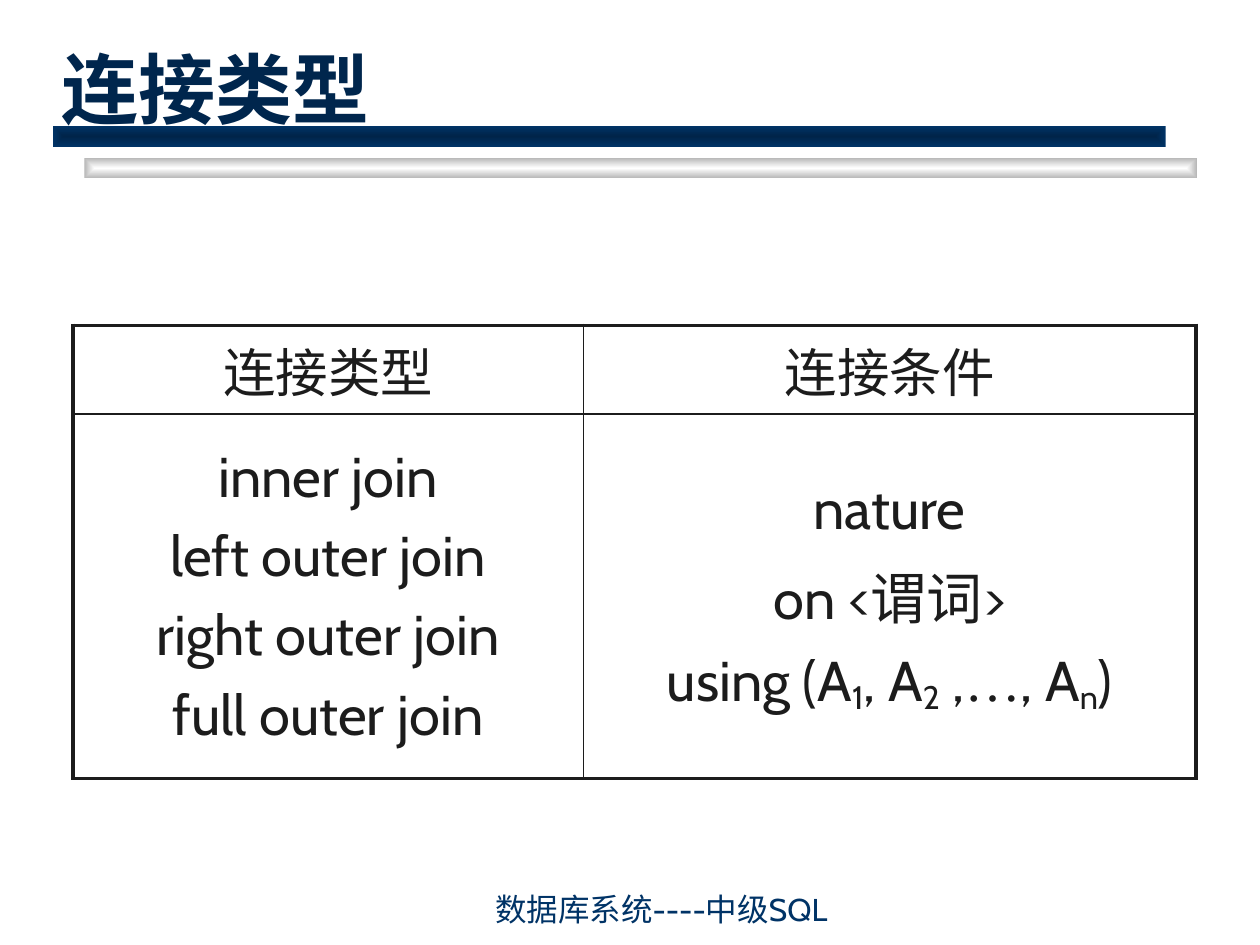
from lxml import etree
from pptx import Presentation
from pptx import util as u
from pptx.dml.color import RGBColor
from pptx.enum import shapes, text
from pptx.oxml import ns

NAVY = RGBColor(0x00, 0x33, 0x66)
DEEP = RGBColor(0x00, 0x24, 0x49)
HEAD = RGBColor(0x00, 0x26, 0x4D)
INK = RGBColor(0x1C, 0x1C, 0x1C)
WHITE = RGBColor(0xFF, 0xFF, 0xFF)
GREY = RGBColor(0xB6, 0xB6, 0xB6)


def write(par, words, size=32, color=INK, bold=False, face="Cabin", sub=False):
    run = par.add_run()
    run.text = words
    font = run.font
    font.name, font.size, font.bold = face, u.Pt(size), bold
    font.color.rgb = color
    if sub:
        run._r.get_or_add_rPr().set("baseline", "-14000")


def add(parent, tag, **attrs):
    return etree.SubElement(parent, ns.qn(tag), attrs)


deck = Presentation()
deck.slide_width, deck.slide_height = u.Cm(25.4), u.Cm(19.05)
slide = deck.slides.add_slide(deck.slide_layouts[5])

# Title
title = slide.shapes.title
title.left, title.top = u.Cm(0.99), u.Cm(0.46)
title.width, title.height = u.Cm(23.57), u.Cm(2.36)
frame = title.text_frame
frame.auto_size = text.MSO_AUTO_SIZE.NONE
frame.vertical_anchor = text.MSO_ANCHOR.BOTTOM
frame.paragraphs[0].alignment = text.PP_ALIGN.LEFT
write(frame.paragraphs[0], "连接类型", size=44, color=HEAD, bold=True)

# Two bars under the title, shaded from the centre outwards
for left, top, inner, outer in ((1.7, 3.18, WHITE, GREY),
                                (1.07, 2.54, DEEP, NAVY)):
    bar = slide.shapes.add_shape(shapes.MSO_SHAPE.RECTANGLE, u.Cm(left),
                                 u.Cm(top), u.Cm(22.43), u.Cm(0.42))
    bar.shadow.inherit = False
    bar.line.fill.background()
    bar.fill.gradient()
    for stop, color in zip(bar.fill.gradient_stops, (inner, outer)):
        stop.color.rgb = color
    grad = bar._element.spPr.find(ns.qn("a:gradFill"))
    grad.remove(grad.find(ns.qn("a:lin")))
    way = add(grad, "a:path", path="shape")
    add(way, "a:fillToRect", l="50000", t="50000", r="50000", b="50000")
    # Keep the bars behind the title
    slide.shapes._spTree.insert(2, bar._element)

# Table: each cell holds lines, each line holds (words, format) runs
low = {"sub": True}
rows = [
    [[[("连接类型", {"size": 30})]], [[("连接条件", {"size": 30})]]],
    [
        [[(kind + " join", {})]
         for kind in ("inner", "left outer", "right outer", "full outer")],
        [
            [("nature", {})],
            [("on <谓词>", {})],
            [("using (A", {}), ("1", low), (", A", {}), ("2", low), (" ,", {}),
             ("…", {"face": "Times New Roman"}), (", A", {}), ("n", low),
             (")", {})],
        ],
    ],
]
grid = slide.shapes.add_table(2, 2, u.Cm(1.47), u.Cm(6.56),
                              u.Cm(22.64), u.Cm(9.07)).table
grid.first_row = grid.horz_banding = False
for col, width in zip(grid.columns, (10.29, 12.35)):
    col.width = u.Cm(width)
for row, height in zip(grid.rows, (1.73, 7.34)):
    row.height = u.Cm(height)

for i, row in enumerate(rows):
    for j, lines in enumerate(row):
        cell = grid.cell(i, j)
        cell.vertical_anchor = text.MSO_ANCHOR.MIDDLE
        # Thick outer border, thin inner lines
        edges = {"L": j == 0, "R": j == 1, "T": i == 0, "B": i == 1}
        for side, outer in edges.items():
            line = add(cell._tc.get_or_add_tcPr(), "a:ln" + side,
                       w=str(u.Pt(2.25 if outer else 1)))
            add(add(line, "a:solidFill"), "a:srgbClr", val=str(INK))
        cell.fill.background()
        for n, runs in enumerate(lines):
            body = cell.text_frame
            par = body.add_paragraph() if n else body.paragraphs[0]
            par.alignment = text.PP_ALIGN.CENTER
            if n:
                par.space_before = u.Pt(6.4)
            for words, form in runs:
                write(par, words, **form)

# Footer
foot = slide.shapes.add_textbox(u.Cm(9.73), u.Cm(17.98), u.Cm(10.36), u.Cm(0.84))
frame = foot.text_frame
frame.word_wrap = True
frame.vertical_anchor = text.MSO_ANCHOR.BOTTOM
write(frame.paragraphs[0], "数据库系统----中级SQL", size=18, color=NAVY)

deck.save("out.pptx")
